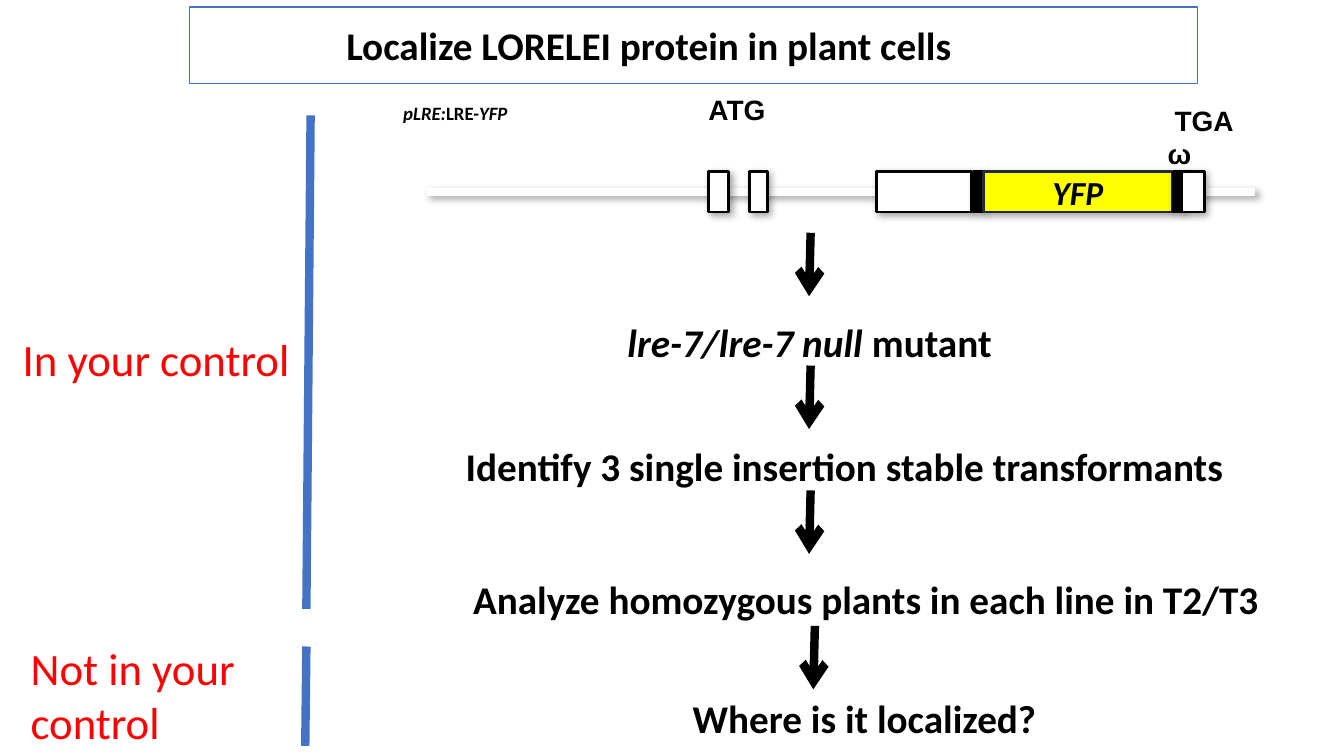
from lxml.etree import SubElement
from pptx import Presentation
from pptx.dml.color import RGBColor
from pptx.enum.shapes import MSO_CONNECTOR, MSO_SHAPE
from pptx.enum.text import MSO_ANCHOR, PP_ALIGN
from pptx.oxml.ns import qn
from pptx.util import Cm, Pt

BLACK, WHITE, BLUE, RED = "000000", "FFFFFF", "4472C4", "FF0000"
YELLOW, NAVY = "FFFF00", "222A35"


def rgb(color):
    return RGBColor.from_string(color)


def paint(shape, fill, line, width):
    shape.fill.solid()
    shape.fill.fore_color.rgb = rgb(fill)
    shape.line.color.rgb = rgb(line)
    shape.line.width = Pt(width)


def write(shape, *lines, size=21, font="Calibri", color=BLACK, bold=True,
          align=PP_ALIGN.CENTER, anchor=MSO_ANCHOR.TOP, wrap=True, pad=None):
    """Each line is a list of (text, italic) runs; pad sets all insets."""
    frame = shape.text_frame
    frame.word_wrap = wrap
    frame.vertical_anchor = anchor
    if pad is not None:
        frame.margin_left = frame.margin_right = Cm(pad)
        frame.margin_top = frame.margin_bottom = Cm(pad)
    for n, runs in enumerate(lines):
        para = frame.add_paragraph() if n else frame.paragraphs[0]
        para.alignment = align
        for text, italic in runs:
            run = para.add_run()
            run.text = text
            run.font.name, run.font.size = font, Pt(size)
            run.font.bold, run.font.italic = bold, italic
            run.font.color.rgb = rgb(color)


def label(slide, box, *lines, **style):
    write(slide.shapes.add_textbox(*map(Cm, box)), *lines, **style)


def shade(shape):
    """Soft shadow to the lower right."""
    shape.shadow.inherit = False
    effects = shape.element.spPr.find(qn("a:effectLst"))
    outer = SubElement(effects, qn("a:outerShdw"), blurRad=str(Pt(4)),
                       dist=str(Pt(2)), dir="2700000", rotWithShape="0")
    color = SubElement(outer, qn("a:srgbClr"), val=BLACK)
    SubElement(color, qn("a:alpha"), val="34000")


def block(slide, box, fill=WHITE, line=BLACK, width=1.5):
    shape = slide.shapes.add_shape(MSO_SHAPE.RECTANGLE, *map(Cm, box))
    paint(shape, fill, line, width)
    shade(shape)
    return shape


def stroke(slide, ends, color, arrow=False):
    line = slide.shapes.add_connector(MSO_CONNECTOR.STRAIGHT, *map(Cm, ends))
    line.line.color.rgb = rgb(color)
    line.line.width = Pt(4.5)
    if arrow:
        SubElement(line.line._get_or_add_ln(), qn("a:tailEnd"), type="arrow")
    SubElement(line.element.spPr, qn("a:effectLst"))


def head(slide):
    title = slide.shapes.title
    title.left, title.top, title.width, title.height = map(
        Cm, (3.58, 0.13, 19.05, 1.45))
    paint(title, WHITE, BLUE, 0.75)
    write(title, [("Localize LORELEI protein in plant cells", False)],
          anchor=MSO_ANCHOR.MIDDLE)
    title.text_frame.margin_right = Cm(1.93)


def gene(slide):
    label(slide, (7.37, 1.8, 5.08, 0.69),
          [("pLRE:", True), ("LRE-", False), ("YFP", True)],
          size=10.1, align=PP_ALIGN.LEFT)
    for text, x, y, w in (("ω", 22.07, 2.59, 0.64), ("ATG", 13.39, 1.75, 1.68),
                          ("TGA", 22.2, 1.96, 1.37)):
        label(slide, (x, y, w, 0.64), [(text, False)], size=15, font="Arial",
              align=PP_ALIGN.LEFT, pad=0)
    block(slide, (8.08, 3.58, 15.62, 0.1), line=WHITE, width=1)
    top, high = 3.25, 0.76
    for x, w, fill in ((16.56, 1.8, WHITE), (13.39, 0.38, WHITE),
                       (14.17, 0.33, WHITE), (18.39, 0.18, BLACK)):
        block(slide, (x, top, w, high), fill)
    tag = block(slide, (18.59, top, 3.56, high), YELLOW, NAVY)
    write(tag, [("YFP", True)], size=18, anchor=MSO_ANCHOR.MIDDLE)
    for x, w, fill in ((22.17, 0.18, BLACK), (22.33, 0.43, WHITE)):
        block(slide, (x, top, w, high), fill)


def steps(slide):
    rows = (
        (10.74, 5.89, 9.12, [("lre-7/lre-7 null ", True), ("mutant", False)]),
        (7.19, 8.23, 17.55,
         [("Identify 3 single insertion stable transformants", False)]),
        (7.19, 10.74, 18.36,
         [("Analyze homozygous plants in each line in T2/T3", False)]),
        (7.16, 13, 18.36, [("Where is it localized?", False)]),
    )
    for x, y, w, runs in rows:
        label(slide, (x, y, w, 1.14), runs)
    for x, y in ((15.32, 4.4), (15.32, 6.91), (15.32, 9.27), (15.4, 11.83)):
        stroke(slide, (x, y, x - 0.03, y + 1.2), BLACK, arrow=True)


def sides(slide):
    stroke(slide, (5.87, 2.18, 5.79, 11.51), BLUE)
    stroke(slide, (5.79, 12.22, 5.77, 14.1), BLUE)
    style = dict(size=24, color=RED, bold=False, align=PP_ALIGN.LEFT,
                 wrap=False)
    label(slide, (0.18, 6.15, 5.59, 1.27), [("In your control", False)],
          **style)
    label(slide, (0.33, 11.99, 4.6, 2.31), [("Not in your", False)],
          [("control", False)], **style)


def main():
    deck = Presentation()
    deck.slide_width, deck.slide_height = Cm(25.4), Cm(14.29)
    slide = deck.slides.add_slide(deck.slide_layouts[5])
    head(slide)
    gene(slide)
    steps(slide)
    sides(slide)
    deck.save("out.pptx")


if __name__ == "__main__":
    main()
